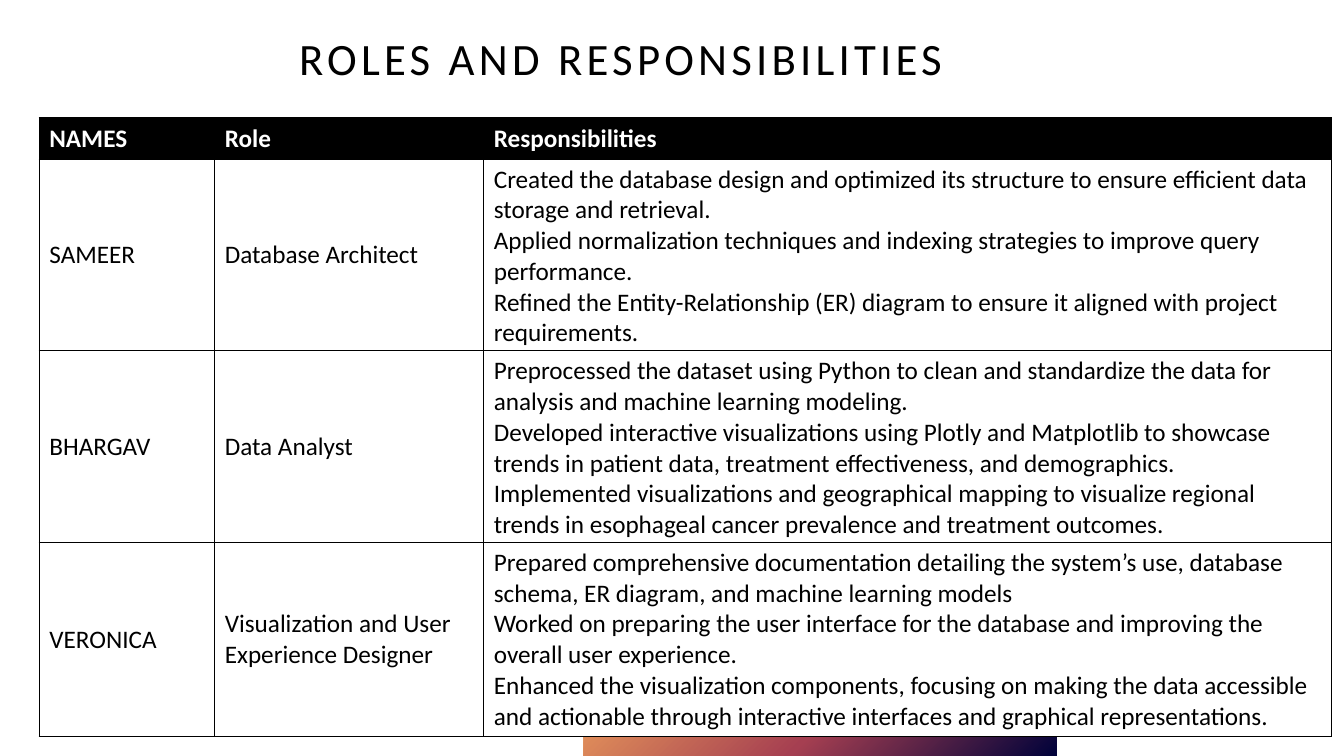
import pptx
import pptx.dml.color
import pptx.enum.shapes
import pptx.enum.text
import pptx.oxml
import pptx.oxml.ns
import pptx.util

Pt = pptx.util.Pt
ANCHOR = pptx.enum.text.MSO_ANCHOR

COLORS = {
    "black": "000000",
    "white": "FFFFFF",
    "navy": "00023A",
    "crimson": "A53F51",
    "orange": "E99A5B",
}

HEADER = ["NAMES", "Role", "Responsibilities"]
MEMBERS = [
    ["SAMEER", "Database Architect",
     "Created the database design and optimized its structure to ensure efficient data storage and retrieval.\n"
     "Applied normalization techniques and indexing strategies to improve query performance.\n"
     "Refined the Entity-Relationship (ER) diagram to ensure it aligned with project requirements."],
    ["BHARGAV", "Data Analyst",
     "Preprocessed the dataset using Python to clean and standardize the data for analysis and machine learning "
     "modeling.\v"
     "Developed interactive visualizations using Plotly and Matplotlib to showcase trends in patient data, "
     "treatment effectiveness, and demographics.\n"
     "Implemented visualizations and geographical mapping to visualize regional trends in esophageal cancer "
     "prevalence and treatment outcomes."],
    ["VERONICA", "Visualization and User Experience Designer",
     "Prepared comprehensive documentation detailing the system’s use, database schema, ER diagram, and machine "
     "learning models\n"
     "Worked on preparing the user interface for the database and improving the overall user experience.\n"
     "Enhanced the visualization components, focusing on making the data accessible and actionable through "
     "interactive interfaces and graphical representations."],
]
COLUMN_WIDTHS = [125.3, 192.2, 605.5]
ROW_HEIGHTS = [29.5, 136.8, 136.8, 139]


def rgb(color):
    return pptx.dml.color.RGBColor.from_string(COLORS[color])


def set_attributes(target, values):
    for name, value in values.items():
        setattr(target, name, value)


def write_text(frame, text, color, **font_values):
    frame.text = text
    for para in frame.paragraphs:
        for span in para.runs:
            set_attributes(span.font, {"name": "Calibri", **font_values})
            span.font.color.rgb = rgb(color)


def add_gradient_band(page, left, top, width, height, stops):
    band = page.shapes.add_shape(pptx.enum.shapes.MSO_SHAPE.RECTANGLE, Pt(left), Pt(top), Pt(width), Pt(height))
    band.shadow.inherit = False
    band.line.fill.background()
    stop_list = "".join(
        f'<a:gs pos="{percent * 1000}"><a:srgbClr val="{COLORS[color]}"/></a:gs>' for percent, color in stops
    )
    gradient = pptx.oxml.parse_xml(
        f'<a:gradFill {pptx.oxml.ns.nsdecls("a")} rotWithShape="1"><a:gsLst>{stop_list}</a:gsLst>'
        '<a:path path="circle"><a:fillToRect l="100000" t="100000"/></a:path></a:gradFill>'
    )
    band._element.spPr.find(pptx.oxml.ns.qn("a:prstGeom")).addnext(gradient)


def add_title(page, text, left, top, width, height):
    box = page.shapes.add_textbox(Pt(left), Pt(top), Pt(width), Pt(height))
    set_attributes(box.text_frame, {
        "word_wrap": True, "vertical_anchor": ANCHOR.MIDDLE, "margin_bottom": 0,
    })
    write_text(box.text_frame, text, "black", size=Pt(32))
    para = box.text_frame.paragraphs[0]
    para.line_spacing = 0.9
    para.runs[0].font._element.set("spc", "300")


def add_borders(cell):
    properties = cell._tc.get_or_add_tcPr()
    for side in "LRTB":
        properties.append(pptx.oxml.parse_xml(
            f'<a:ln{side} {pptx.oxml.ns.nsdecls("a")} w="{Pt(1)}"><a:solidFill>'
            f'<a:srgbClr val="{COLORS["black"]}"/></a:solidFill></a:ln{side}>'
        ))


def fill_cell(cell, text, is_header):
    write_text(cell.text_frame, text, "white" if is_header else "black", size=Pt(18), bold=is_header)
    cell.vertical_anchor = ANCHOR.MIDDLE
    add_borders(cell)
    cell.fill.solid()
    cell.fill.fore_color.rgb = rgb("black" if is_header else "white")


def add_roles_table(page, left, top, rows):
    table = page.shapes.add_table(
        len(rows), len(HEADER), Pt(left), Pt(top), Pt(sum(COLUMN_WIDTHS)), Pt(sum(ROW_HEIGHTS))
    ).table
    table.horz_banding = False
    for column, width in zip(table.columns, COLUMN_WIDTHS):
        column.width = Pt(width)
    for row, height in zip(table.rows, ROW_HEIGHTS):
        row.height = Pt(height)
    for row_index, texts in enumerate(rows):
        for column_index, text in enumerate(texts):
            fill_cell(table.cell(row_index, column_index), text, row_index == 0)


def main():
    deck = pptx.Presentation()
    set_attributes(deck, {"slide_width": Pt(960), "slide_height": Pt(540)})
    page = deck.slides.add_slide(deck.slide_layouts[6])
    add_gradient_band(page, 416.9, 496.1, 337.7, 43.9, [(0, "navy"), (50, "crimson"), (100, "orange")])
    add_title(page, "ROLES AND RESPONSIBILITIES", 206.6, 0, 491.8, 84.2)
    add_roles_table(page, 28.1, 84.2, [HEADER] + MEMBERS)
    deck.save("out.pptx")


if __name__ == "__main__":
    main()
